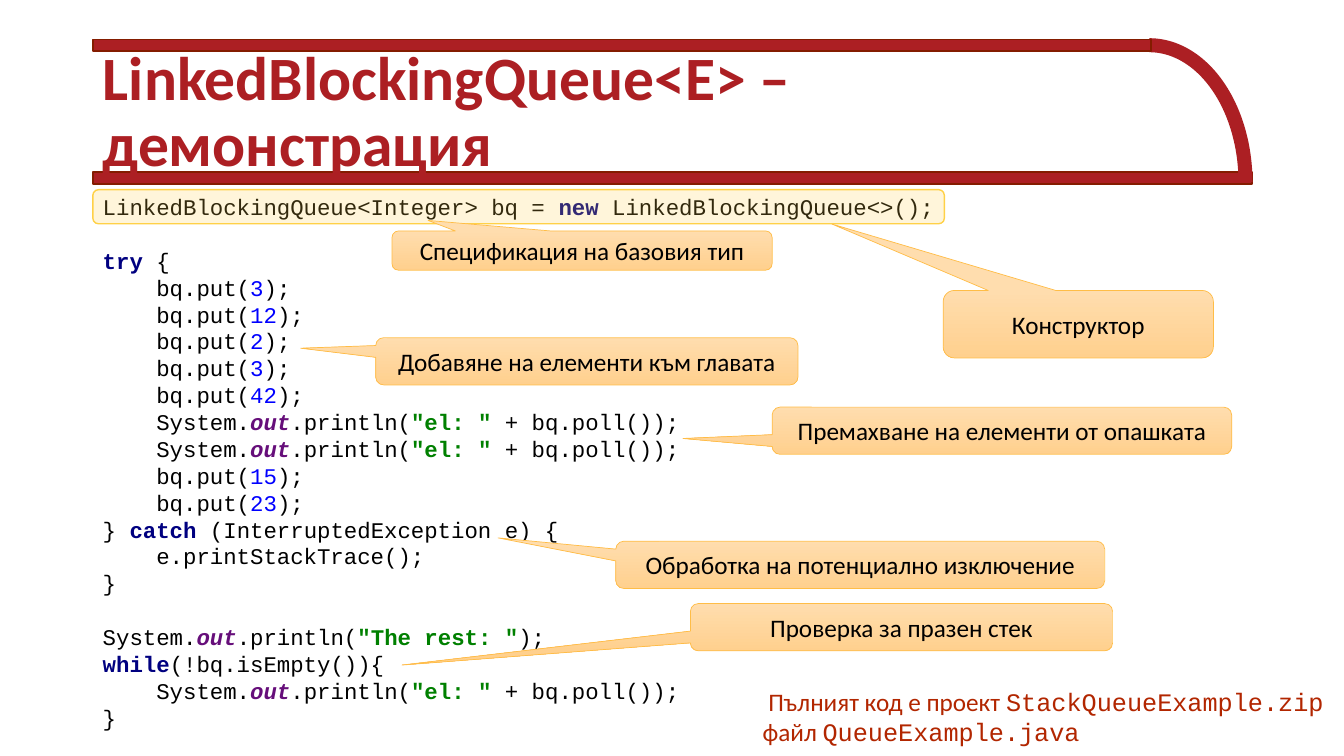
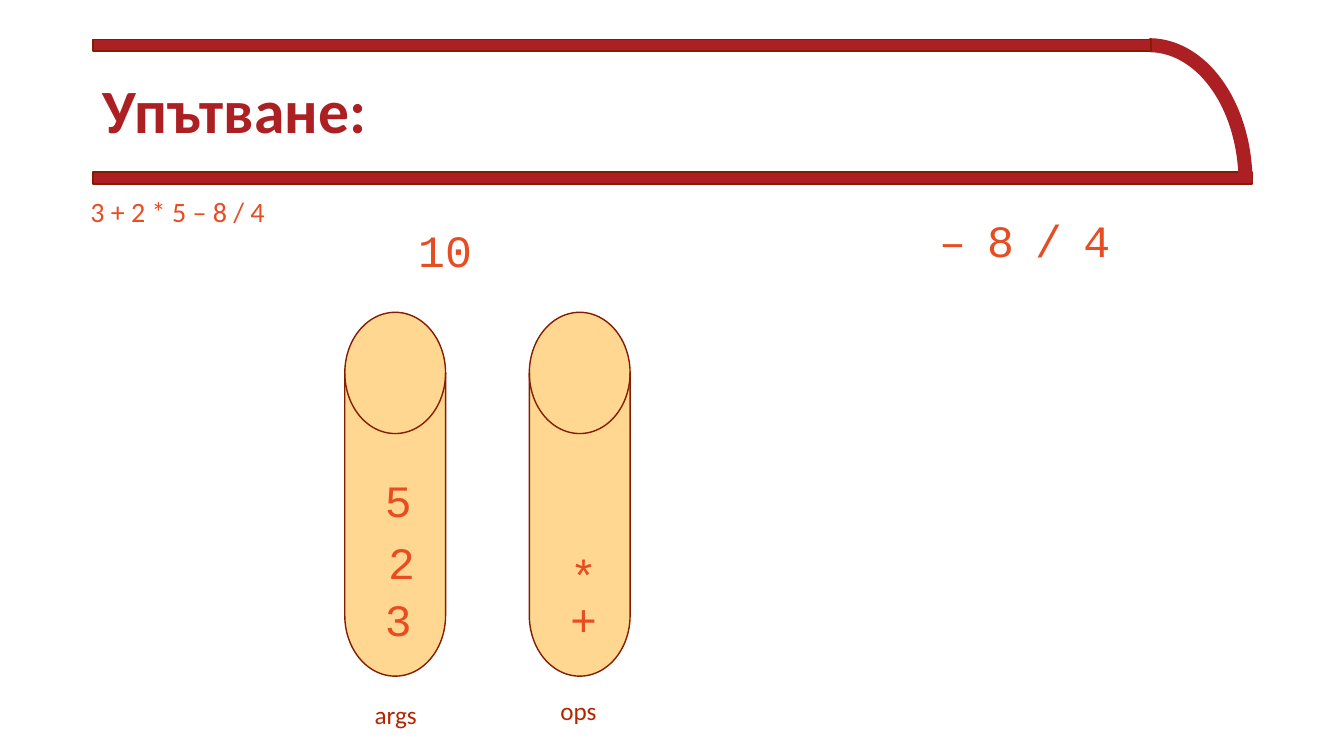
"""Build two slides on queues: a commented code demo and a two-stack hint."""
from lxml.etree import SubElement
from pptx import Presentation
from pptx.dml.color import RGBColor as RGB
from pptx.enum.shapes import MSO_SHAPE as Kind
from pptx.enum.text import MSO_ANCHOR as Anchor, MSO_AUTO_SIZE as Fit, PP_ALIGN as Align
from pptx.oxml.ns import qn
from pptx.util import Cm, Pt

RED, RUST, BRICK = RGB(0xAC, 0x1F, 0x23), RGB(0x84, 0x1C, 0x00), RGB(0xB2, 0x26, 0x00)
FLAME, SAND, GOLD = RGB(0xE8, 0x4C, 0x22), RGB(0xFF, 0xD7, 0x91), RGB(0xFF, 0xD1, 0x47)
AMBER, PALE, PEACH = RGB(0xFF, 0xBD, 0x47), RGB(0xFF, 0xDD, 0xAE), RGB(0xFF, 0xD0, 0x8E)
BLACK, NAVY, BLUE = RGB(0, 0, 0), RGB(0, 0, 0x80), RGB(0, 0, 0xFF)
PLUM, GREEN = RGB(0x66, 0x0E, 0x7A), RGB(0, 0x80, 0)
SANS, MONO = "Calibri", "Courier New"

HEAD = {"name": SANS, "size": Pt(44), "bold": True, "color": RED}
LABEL = {"name": SANS, "size": Pt(18), "color": BLACK}
NOTE = {**LABEL, "color": BRICK}
FILE = {**NOTE, "name": MONO}
SUM = {"name": SANS, "size": Pt(20), "color": FLAME}
TOKEN = {"name": MONO, "size": Pt(32), "color": FLAME}
PLAIN = {"name": MONO, "size": Pt(16), "color": BLACK}
KEY = {**PLAIN, "color": NAVY, "bold": True}
FIELD = {**PLAIN, "color": PLUM, "bold": True, "italic": True}
QUOTE = {**PLAIN, "color": GREEN, "bold": True}
DIGIT = {**PLAIN, "color": BLUE}

TITLES = ["LinkedBlockingQueue<E> – демонстрация", "Упътване:"]
TITLE_BOX = (2.34, 1.02, 24.23, 3.68)
BANDS = [(2.34, 4.34, 29.21, 0.3), (2.34, 0.99, 26.67, 0.3)]
CURVE = (26.54, 1.14, 4.85, 6.91)

CODE_BOX = (2.34, 4.67, 21.77, 13.94)
CODE = [
    "LinkedBlockingQueue<Integer> bq = |new |LinkedBlockingQueue<>();",
    """|try |{
    bq.put(|3|);
    bq.put(|12|);
    bq.put(|2|);
    bq.put(|3|);
    bq.put(|42|);
    System.|out|.println(|"el: "| + bq.poll());
    System.|out|.println(|"el: "| + bq.poll());
    bq.put(|15|);
    bq.put(|23|);
} |catch |(InterruptedException e) {
    e.printStackTrace();
}""",
    """System.|out|.println(|"The rest: "|);
|while|(!bq.isEmpty()){
    System.|out|.println(|"el: "| + bq.poll());
}""",
]
MARK = (2.34, 4.78, 21.46, 0.86)
CALLS = [
    ("Спецификация на базовия тип", (9.88, 5.82, 9.58, 0.99), (-0.405, -0.767)),
    ("Конструктор", (23.77, 7.32, 6.81, 1.7), (-0.912, -1.485)),
    ("Добавяне на елементи към главата", (9.47, 8.51, 10.64, 1.19), (-0.678, -0.277)),
    ("Премахване на елементи от опашката", (19.46, 10.26, 11.58, 1.19), (-0.694, 0.164)),
    ("Проверка за празен стек", (17.4, 15.21, 10.64, 1.19), (-1.183, 0.802)),
    ("Обработка на потенциално изключение", (15.52, 13.64, 12.32, 1.19), (-0.741, -0.572)),
]
FILE_BOX = (18.97, 17.17, 14.76, 1.8)
FILES = [
    [(" Пълният код е проект ", NOTE), ("StackQueueExample.zip", FILE)],
    [("файл ", NOTE), ("QueueExample.java", FILE)],
]

STACKS = [8.69, 13.34]
NAMES = [("args", NOTE, (9.19, 17.5, 1.57, 1.02)), ("ops", NOTE, (13.87, 17.4, 1.45, 1.02)),
         ("3 + 2 * 5 – 8 / 4", SUM, (2.03, 4.78, 4.95, 1.12))]
ITEMS = [("3", 9.45, 14.78), ("2", 9.53, 13.34), ("5", 9.45, 11.79),
         ("+", 14.12, 14.78), ("*", 14.12, 13.67)]
REST, REST_X, REST_Y, STEP = "–8/4", 23.42, 5.23, 1.21


def style(font, form):
    for key, val in form.items():
        if key == "color":
            font.color.rgb = val
        else:
            setattr(font, key, val)


def write(para, text, form):
    run = para.add_run()
    run.text = text
    style(run.font, form)


def shape(slide, kind, box, fill, line, width):
    part = slide.shapes.add_shape(kind, *map(Cm, box))
    part.shadow.inherit = False
    if fill is None:
        part.fill.background()
    else:
        part.fill.solid()
        part.fill.fore_color.rgb = fill
    part.line.color.rgb = line
    part.line.width = Pt(width)
    return part


def label(slide, box, rows):
    frame = slide.shapes.add_textbox(*map(Cm, box)).text_frame
    frame.word_wrap = False
    frame.auto_size = Fit.SHAPE_TO_FIT_TEXT
    for i, row in enumerate(rows):
        para = frame.add_paragraph() if i else frame.paragraphs[0]
        for text, form in row:
            write(para, text, form)
    return frame


def look(word):
    if word.strip() in ("new", "try", "catch", "while"):
        return KEY
    if word.isdigit():
        return DIGIT
    if word == "out":
        return FIELD
    return QUOTE if word.startswith('"') else PLAIN


def listing(slide):
    frame = label(slide, CODE_BOX, [])
    frame.vertical_anchor = Anchor.MIDDLE
    for i, block in enumerate(CODE):
        para = frame.add_paragraph() if i else frame.paragraphs[0]
        para.line_spacing = Pt(19.2)
        para.space_before = Pt(19.2 if i else 0)
        for n, row in enumerate(block.split("\n")):
            if n:
                para.add_line_break()
            for word in filter(None, row.split("|")):
                write(para, word, look(word))


def callout(slide, text, box, tip):
    part = shape(slide, Kind.ROUNDED_RECTANGULAR_CALLOUT, box, PALE, AMBER, 0.5)
    for i, val in enumerate((*tip, 0.167)):
        part.adjustments[i] = val
    part.fill.gradient()
    part.fill.gradient_angle = 270
    for stop, color in zip(part.fill.gradient_stops, (PALE, PEACH)):
        stop.color.rgb = color
    frame = part.text_frame
    frame.word_wrap = True
    frame.vertical_anchor = Anchor.MIDDLE
    para = frame.paragraphs[0]
    para.alignment = Align.CENTER
    write(para, text, LABEL)


def frame_layout(layout, slide):
    low, top = BANDS
    parts = [shape(slide, Kind.RECTANGLE, low, RED, RUST, 1),
             shape(slide, Kind.ARC, CURVE, None, RED, 10),
             shape(slide, Kind.RECTANGLE, top, RED, RUST, 1)]
    for part in parts:
        layout.shapes.element.append(part.element)


def add_slide(deck, layout, text):
    slide = deck.slides.add_slide(layout)
    title = slide.shapes.title
    for key, val in zip(("left", "top", "width", "height"), TITLE_BOX):
        setattr(title, key, Cm(val))
    frame = title.text_frame
    frame.word_wrap = True
    frame.auto_size = Fit.NONE
    frame.vertical_anchor = Anchor.MIDDLE
    para = frame.paragraphs[0]
    para.alignment = Align.LEFT
    para.line_spacing = 0.9
    write(para, text, HEAD)
    return slide


def fill_demo(slide):
    listing(slide)
    mark = shape(slide, Kind.ROUNDED_RECTANGLE, MARK, GOLD, GOLD, 1)
    tint = mark.element.xpath("./p:spPr/a:solidFill/a:srgbClr")[0]
    SubElement(tint, qn("a:alpha"), val="20000")
    for call in CALLS:
        callout(slide, *call)
    label(slide, FILE_BOX, FILES)


def fill_hint(slide):
    for left in STACKS:
        shape(slide, Kind.FLOWCHART_MAGNETIC_DISK, (left, 7.87, 2.54, 9.17), SAND, RUST, 1)
    for text, form, box in NAMES:
        label(slide, box, [[(text, form)]])
    rest = [(sign, REST_X + i * STEP, REST_Y) for i, sign in enumerate(REST)]
    for text, left, top in ITEMS + rest:
        label(slide, (left, top, 1.19, 1.63), [[(text, TOKEN)]])
    label(slide, (10.29, 5.49, 1.88, 1.63), [[("10", TOKEN)]])


def main():
    deck = Presentation()
    deck.slide_width, deck.slide_height = Cm(33.87), Cm(19.05)
    layout = deck.slide_layouts[5]
    demo, hint = [add_slide(deck, layout, text) for text in TITLES]
    frame_layout(layout, demo)
    fill_demo(demo)
    fill_hint(hint)
    deck.save("out.pptx")


main()
